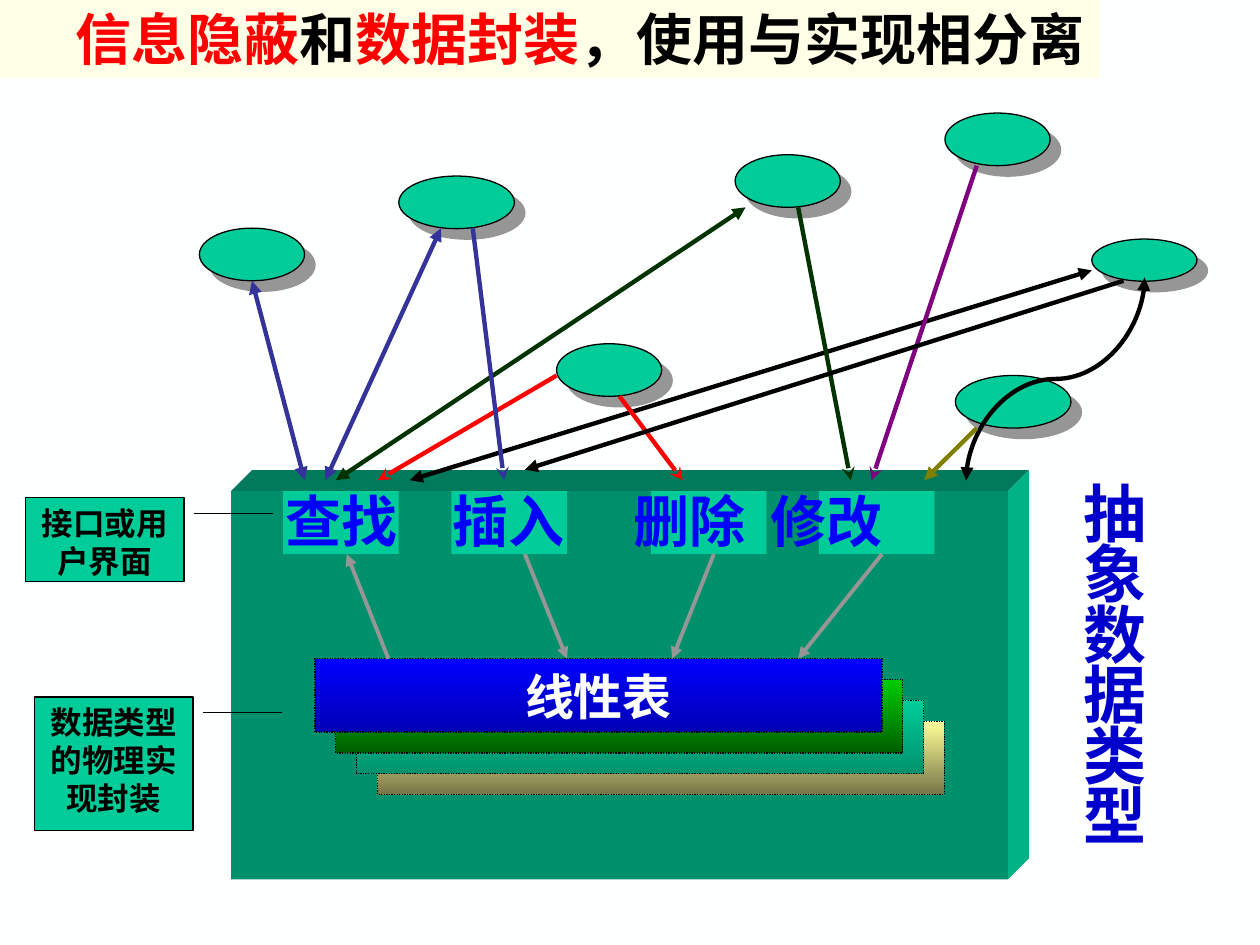
from lxml.etree import SubElement
from pptx import Presentation
from pptx.dml.color import RGBColor
from pptx.enum.dml import MSO_LINE
from pptx.enum.shapes import MSO_CONNECTOR, MSO_SHAPE
from pptx.enum.text import MSO_ANCHOR, MSO_AUTO_SIZE, PP_ALIGN
from pptx.oxml.ns import qn
from pptx.util import Cm, Pt

FONT = "Noto Sans CJK SC"
COLORS = {
    "paper": "FEFFFF", "cream": "FFFFE7", "black": "000000", "red": "FF0000",
    "mint": "00CC99", "front": "00906B", "top": "007A5B", "side": "00B286",
    "gray": "969696", "blue": "0000FF", "navy": "0000CC", "indigo": "333399",
    "forest": "003300", "purple": "800080", "olive": "808000",
    "blue_end": "0000B6", "green": "00CC00", "green_end": "005E00",
    "mint_end": "00926D", "yellow": "FFFF99", "yellow_end": "767647",
}


def rgb(color):
    return RGBColor.from_string(COLORS[color])


class SlideBuilder:
    def __init__(self, slide):
        self.slide = slide
        self.shapes = slide.shapes
        slide.background.fill.solid()
        slide.background.fill.fore_color.rgb = rgb("paper")

    def style_run(self, run, size, color):
        run.font.size, run.font.bold, run.font.name = Pt(size), True, FONT
        run.font.color.rgb = rgb(color)
        SubElement(run.font._element, qn("a:ea")).set("typeface", FONT)

    def set_text(self, item, text, size, color, align=PP_ALIGN.LEFT,
                 anchor=MSO_ANCHOR.TOP, wrap=True):
        frame = item.text_frame
        frame.text = text
        frame.word_wrap, frame.vertical_anchor = wrap, anchor
        paragraph = frame.paragraphs[0]
        paragraph.alignment = align
        self.style_run(paragraph.runs[0], size, color)
        return paragraph

    def title(self, parts, box, size, fill):
        heading = self.shapes.title
        heading.left, heading.top, heading.width, heading.height = map(Cm, box)
        heading.fill.solid()
        heading.fill.fore_color.rgb = rgb(fill)
        frame = heading.text_frame
        frame.auto_size, frame.word_wrap = MSO_AUTO_SIZE.NONE, True
        frame.vertical_anchor = MSO_ANCHOR.MIDDLE
        frame.margin_left, frame.margin_right = Cm(1.52), 0
        frame.paragraphs[0].alignment = PP_ALIGN.LEFT
        for text, color in parts:
            run = frame.paragraphs[0].add_run()
            run.text = text
            self.style_run(run, size, color)

    def paint(self, item, fill, line=None):
        item.shadow.inherit = False
        item.fill.solid()
        item.fill.fore_color.rgb = rgb(fill)
        if line:
            item.line.color.rgb = rgb(line)
            item.line.width = Pt(0.75)
        else:
            item.line.fill.background()

    def box(self, kind, box, fill, line=None):
        item = self.shapes.add_shape(kind, *map(Cm, box))
        self.paint(item, fill, line)
        return item

    def face(self, points, fill):
        start, *rest = [(Cm(x), Cm(y)) for x, y in points]
        outline = self.shapes.build_freeform(*start)
        outline.add_line_segments(rest, close=True)
        self.paint(outline.convert_to_shape(), fill)

    def user(self, box):
        oval = self.box(MSO_SHAPE.OVAL, box, "mint", "black")
        effects = oval._element.spPr.find(qn("a:effectLst"))
        shadow = SubElement(effects, qn("a:outerShdw"), dist=str(Pt(8.5)),
                            dir="2700000", algn="ctr", rotWithShape="0")
        SubElement(shadow, qn("a:srgbClr"), val=COLORS["gray"])

    def block(self, box, start, end):
        layer = self.box(MSO_SHAPE.RECTANGLE, box, start, "black")
        layer.line.dash_style = MSO_LINE.ROUND_DOT
        layer.fill.gradient()
        layer.fill.gradient_angle = 270
        for stop, color in zip(layer.fill.gradient_stops, (start, end)):
            stop.color.rgb = rgb(color)
        return layer

    def callout(self, box, text, line_y):
        note = self.box(MSO_SHAPE.LINE_CALLOUT_2, box, "mint", "black")
        for i, line_x in enumerate((1.066, 1.31, 1.562)):
            note.adjustments[2 * i] = line_y
            note.adjustments[2 * i + 1] = line_x
        self.set_text(note, text, 18, "black", PP_ALIGN.CENTER)

    def label(self, box, text, size, color, wrap=True):
        text_box = self.shapes.add_textbox(*map(Cm, box))
        return self.set_text(text_box, text, size, color, wrap=wrap)

    def arrow(self, start, end, color, tail="triangle", head=None,
              width=2.5, kind=MSO_CONNECTOR.STRAIGHT):
        link = self.shapes.add_connector(kind, *map(Cm, start + end))
        link.line.color.rgb = rgb(color)
        link.line.width = Pt(width)
        properties = link._element.spPr
        for tag, shape in (("a:headEnd", head), ("a:tailEnd", tail)):
            if shape:
                SubElement(properties.find(qn("a:ln")), qn(tag), type=shape)
        SubElement(properties, qn("a:effectLst"))
        return link


def main():
    presentation = Presentation()
    presentation.slide_width, presentation.slide_height = Cm(25.4), Cm(19.05)
    builder = SlideBuilder(
        presentation.slides.add_slide(presentation.slide_layouts[5]))

    # Title
    builder.title([("信息隐蔽", "red"), ("和", "black"), ("数据封装", "red"),
                   ("，使用与实现相分离", "black")],
                  (0, -0.03, 22.17, 1.6), 32, "cream")

    # Vertical caption
    caption = builder.label((21.59, 9.73, 1.73, 7.7), "抽象数据类型", 36, "navy")
    caption.line_spacing = 0.8

    # Users of the data type
    for user_box in [
            (4.02, 4.6, 2.12, 1.06), (8.04, 3.55, 2.33, 1.06),
            (11.22, 6.93, 2.12, 1.06), (14.82, 3.12, 2.12, 1.06),
            (19.26, 7.57, 2.33, 1.06), (19.05, 2.28, 2.12, 1.06),
            (22.01, 4.82, 2.12, 0.85)]:
        builder.user(user_box)

    # Container with its depth faces
    left, top, width, height, depth = 4.66, 9.9, 15.66, 7.83, 0.42
    right, bottom = left + width, top + height
    builder.face([(left, top), (left + depth, top - depth),
                  (right + depth, top - depth), (right, top)], "top")
    builder.face([(right, top), (right + depth, top - depth),
                  (right + depth, bottom - depth), (right, bottom)], "side")
    builder.box(MSO_SHAPE.RECTANGLE, (left, top, width, height), "front")

    # Operations
    for operation_left in (5.71, 9.1, 13.12, 16.51):
        builder.box(MSO_SHAPE.RECTANGLE,
                    (operation_left, top, 2.33, 1.27), "mint")
    operations = builder.label((5.5, 9.68, 13.06, 1.62),
                               "查找\t插入\t删除\t修改", 32, "blue", wrap=False)
    tabs = SubElement(operations._p.get_or_add_pPr(), qn("a:tabLst"))
    for position in (3.38, 7.03, 9.78):
        SubElement(tabs, qn("a:tab"), pos=str(Cm(position)), algn="l")

    # Calls from users to the interface
    curve = builder.arrow((19.23, 5.84), (23.32, 9.44), "black",
                          head="triangle", kind=MSO_CONNECTOR.CURVE)
    curve._element.spPr.find(qn("a:xfrm")).set("rot", "5400000")
    interface = 9.68
    for start, end_x, color in [
            ((5.08, 5.66), 6.14, "indigo"), ((8.89, 4.6), 6.56, "indigo"),
            ((15.03, 4.18), 6.77, "forest"), ((22.01, 5.45), 8.26, "black")]:
        builder.arrow(start, (end_x, interface), color, head="triangle")
    for start, end_x, color in [
            ((11.22, 7.57), 7.62, "red"), ((9.53, 4.6), 10.16, "indigo"),
            ((12.49, 7.99), 13.76, "red"), ((16.09, 4.18), 17.15, "forest"),
            ((19.69, 3.34), 17.57, "purple")]:
        builder.arrow(start, (end_x, interface), color, tail="stealth")
    builder.arrow((22.65, 5.66), (10.58, 9.47), "black")
    builder.arrow((19.69, 8.63), (18.63, interface), "olive")

    # Stacked implementations, back to front
    layers = ["yellow", "mint", "green", "blue"]
    for i, color in enumerate(layers):
        offset = (len(layers) - 1 - i) * depth
        block = builder.block((6.35 + offset, 13.28 + offset, 11.43, 1.48),
                              color, color + "_end")
    builder.set_text(block, "线性表", 28, "paper", PP_ALIGN.CENTER,
                     MSO_ANCHOR.MIDDLE, wrap=False)

    # Links between operations and the implementation
    for start, end in [((7.83, 13.28), (6.99, 11.17)),
                       ((10.58, 11.17), (11.43, 13.28)),
                       ((14.39, 11.17), (13.55, 13.28)),
                       ((17.78, 11.17), (16.09, 13.28))]:
        builder.arrow(start, end, "gray", width=2.25)

    # Callouts
    builder.callout((0.51, 10.03, 3.2, 1.7), "接口或用户界面", 0.188)
    builder.callout((0.69, 14.05, 3.2, 2.69), "数据类型的物理实现封装", 0.118)

    presentation.save("out.pptx")


if __name__ == "__main__":
    main()
